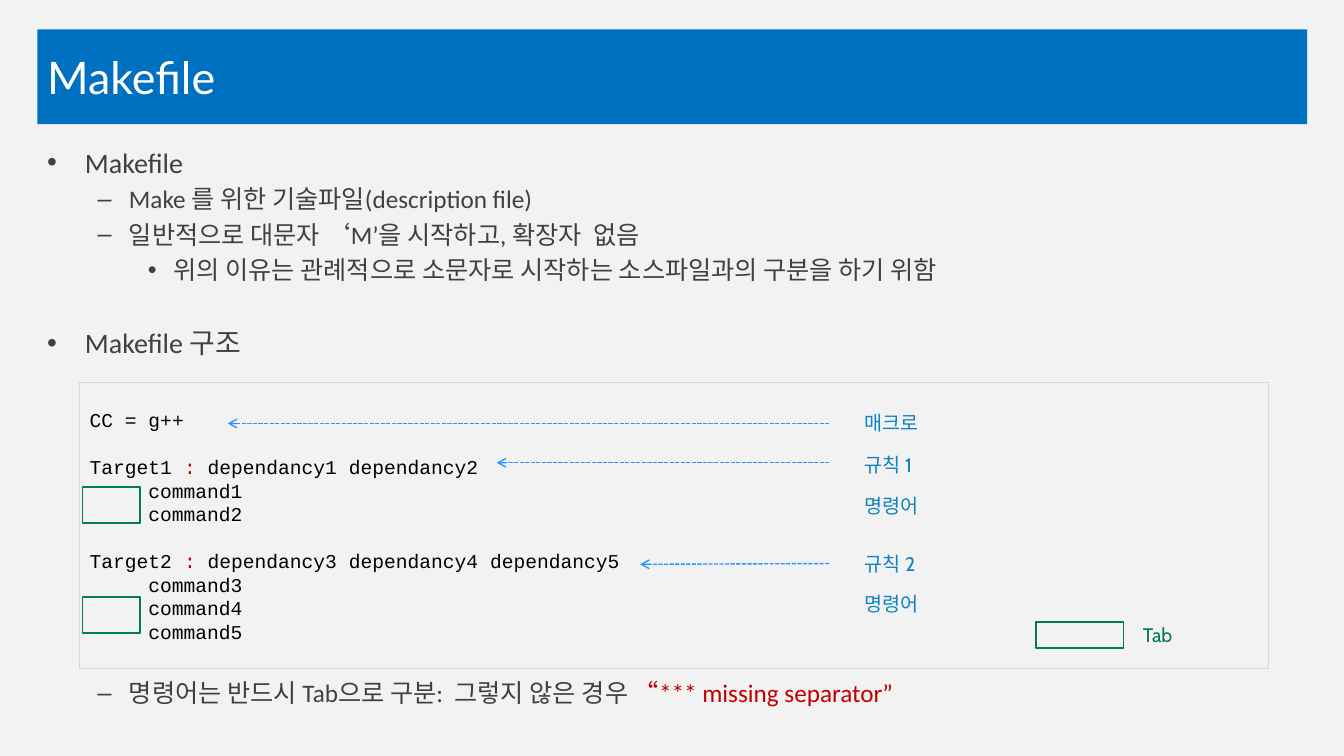
from dataclasses import dataclass

from lxml import etree
from pptx import Presentation
from pptx.dml.color import RGBColor
from pptx.enum.dml import MSO_LINE
from pptx.enum.shapes import MSO_CONNECTOR, MSO_SHAPE
from pptx.enum.text import MSO_ANCHOR, PP_ALIGN
from pptx.oxml.ns import qn
from pptx.util import Cm, Pt

GRAY, RED, BLUE, GREEN = "404040", "C00000", "0E82BE", "007B54"
BODY_LEFT, BODY_WIDTH = 0.94, 32
LABEL_LEFT, ARROW_START = 21.54, 20.9
CODE_LINE = 16.8


@dataclass
class Box:
    left: float
    top: float
    width: float
    height: float

    def emu(self) -> tuple:
        return Cm(self.left), Cm(self.top), Cm(self.width), Cm(self.height)


@dataclass
class Run:
    text: str
    color: str


@dataclass
class Level:
    bullet: str
    margin: float
    hanging: float
    size: int


@dataclass
class Item:
    level: int
    runs: list[Run]
    before: float = 0


@dataclass
class CodeLine:
    runs: list[Run]
    indent: float = 0
    before: float = 0


@dataclass
class Label:
    text: str
    left: float
    top: float
    color: str = BLUE


@dataclass
class Arrow:
    y: float
    tip_x: float
    tip_y: float


LEVELS = [Level("•", 0.95, 0.95, 20), Level("–", 2.06, 0.79, 18), Level("•", 3.18, 0.64, 18)]

OUTLINE = [
    Item(0, [Run("Makefile", GRAY)]),
    Item(1, [Run("Make 를 위한 기술파일(description file)", GRAY)], 3.6),
    Item(1, [Run("일반적으로 대문자 ‘M’을 시작하고, 확장자  없음", GRAY)], 3.6),
    Item(2, [Run("위의 이유는 관례적으로 소문자로 시작하는 소스파일과의 구분을 하기 위함", GRAY)], 3.6),
    Item(0, [Run("Makefile 구조", GRAY)], 29.6),
]
NOTE = [Item(1, [Run("명령어는 반드시 Tab으로 구분:  그렇지 않은 경우 ", GRAY),
                 Run("“*** missing separator”", RED)])]


def rule(target: str, dependencies: str, commands: list[str]) -> list[CodeLine]:
    head = [Run(f"{target} ", "000000"), Run(":", RED), Run(f" {dependencies}", "000000")]
    return [CodeLine(head, before=CODE_LINE),
            *(CodeLine([Run(c, "000000")], indent=1.48) for c in commands)]


CODE = [
    CodeLine([Run("CC = g++", "000000")]),
    *rule("Target1", "dependancy1 dependancy2", ["command1", "command2"]),
    *rule("Target2", "dependancy3 dependancy4 dependancy5", ["command3", "command4", "command5"]),
]
LABELS = [
    Label("매크로", LABEL_LEFT, 10.24),
    Label("규칙 1", LABEL_LEFT, 11.28),
    Label("명령어", LABEL_LEFT, 12.32),
    Label("규칙 2", LABEL_LEFT, 13.79),
    Label("명령어", LABEL_LEFT, 14.78),
    Label("Tab", 28.55, 15.57, GREEN),
]
ARROWS = [Arrow(10.67, 5.74, 10.67), Arrow(11.66, 12.52, 11.66), Arrow(14.2, 16.13, 14.22)]
TAB_BOXES = [Box(2.08, 12.27, 1.45, 0.91), Box(2.08, 15.04, 1.45, 0.91),
             Box(26.11, 15.67, 2.21, 0.66)]


def rgb(color: str) -> RGBColor:
    return RGBColor.from_string(color)


def assign(target, values: dict) -> None:
    for name, value in values.items():
        setattr(target, name, value)


def add_runs(p, runs: list[Run], font: str, size: float) -> None:
    for run in runs:
        r = p.add_run()
        r.text = run.text
        assign(r.font, {"name": font, "size": Pt(size)})
        r.font.color.rgb = rgb(run.color)


def paragraph(tf, index: int):
    return tf.add_paragraph() if index else tf.paragraphs[0]


def add_rect(s, box: Box, fill: str = "", line: str = "", width: float = 1):
    sp = s.shapes.add_shape(MSO_SHAPE.RECTANGLE, *box.emu())
    sp.shadow.inherit = False
    if fill:
        sp.fill.solid()
        sp.fill.fore_color.rgb = rgb(fill)
    else:
        sp.fill.background()
    if line:
        sp.line.color.rgb = rgb(line)
        sp.line.width = Pt(width)
    else:
        sp.line.fill.background()
    assign(sp.text_frame, {"word_wrap": True, "vertical_anchor": MSO_ANCHOR.MIDDLE})
    return sp


def add_text_box(s, box: Box):
    tf = s.shapes.add_textbox(*box.emu()).text_frame
    tf.word_wrap = True
    return tf


def add_list(s, box: Box, items: list[Item]) -> None:
    tf = add_text_box(s, box)
    for i, item in enumerate(items):
        level = LEVELS[item.level]
        p = paragraph(tf, i)
        assign(p, {"level": item.level, "space_before": Pt(item.before)})
        pPr = p._p.get_or_add_pPr()
        pPr.set("marL", str(Cm(level.margin)))
        pPr.set("indent", str(-Cm(level.hanging)))
        etree.SubElement(pPr, qn("a:buFont"), typeface="Arial")
        etree.SubElement(pPr, qn("a:buChar"), char=level.bullet)
        add_runs(p, item.runs, "Calibri", level.size)


def add_code(s, box: Box, lines: list[CodeLine]) -> None:
    tf = add_rect(s, box, line="D9D9D9", width=0.75).text_frame
    for i, line in enumerate(lines):
        p = paragraph(tf, i)
        assign(p, {"alignment": PP_ALIGN.LEFT, "line_spacing": Pt(CODE_LINE),
                   "space_before": Pt(line.before)})
        p._p.get_or_add_pPr().set("marL", str(Cm(line.indent)))
        add_runs(p, line.runs, "Courier New", 14)


def add_arrow(s, arrow: Arrow) -> None:
    c = s.shapes.add_connector(MSO_CONNECTOR.STRAIGHT, Cm(ARROW_START), Cm(arrow.y),
                               Cm(arrow.tip_x), Cm(arrow.tip_y))
    c.line.color.rgb = rgb("2C95FF")
    assign(c.line, {"width": Pt(1), "dash_style": MSO_LINE.SQUARE_DOT})
    etree.SubElement(c.line._get_or_add_ln(), qn("a:tailEnd"), type="arrow")
    etree.SubElement(c._element.spPr, qn("a:effectLst"))


def main() -> None:
    prs = Presentation()
    assign(prs, {"slide_width": Cm(33.87), "slide_height": Cm(19.05)})
    s = prs.slides.add_slide(prs.slide_layouts[6])
    s.background.fill.solid()
    s.background.fill.fore_color.rgb = rgb("F2F2F2")

    title = add_rect(s, Box(BODY_LEFT, 0.74, BODY_WIDTH, 2.39), fill="0070C0")
    p = title.text_frame.paragraphs[0]
    p.alignment = PP_ALIGN.LEFT
    add_runs(p, [Run("Makefile", "FFFFFF")], "Lato", 32)

    add_list(s, Box(BODY_LEFT, 3.53, BODY_WIDTH, 5.7), OUTLINE)
    add_list(s, Box(BODY_LEFT, 16.94, BODY_WIDTH, 1.1), NOTE)
    add_code(s, Box(2.01, 9.65, 29.95, 7.19), CODE)
    for arrow in ARROWS:
        add_arrow(s, arrow)
    for label in LABELS:
        tf = add_text_box(s, Box(label.left, label.top, 2.44, 0.86))
        add_runs(tf.paragraphs[0], [Run(label.text, label.color)], "Cabin", 14)
    for box in TAB_BOXES:
        add_rect(s, box, line=GREEN)
    prs.save("out.pptx")


if __name__ == "__main__":
    main()
